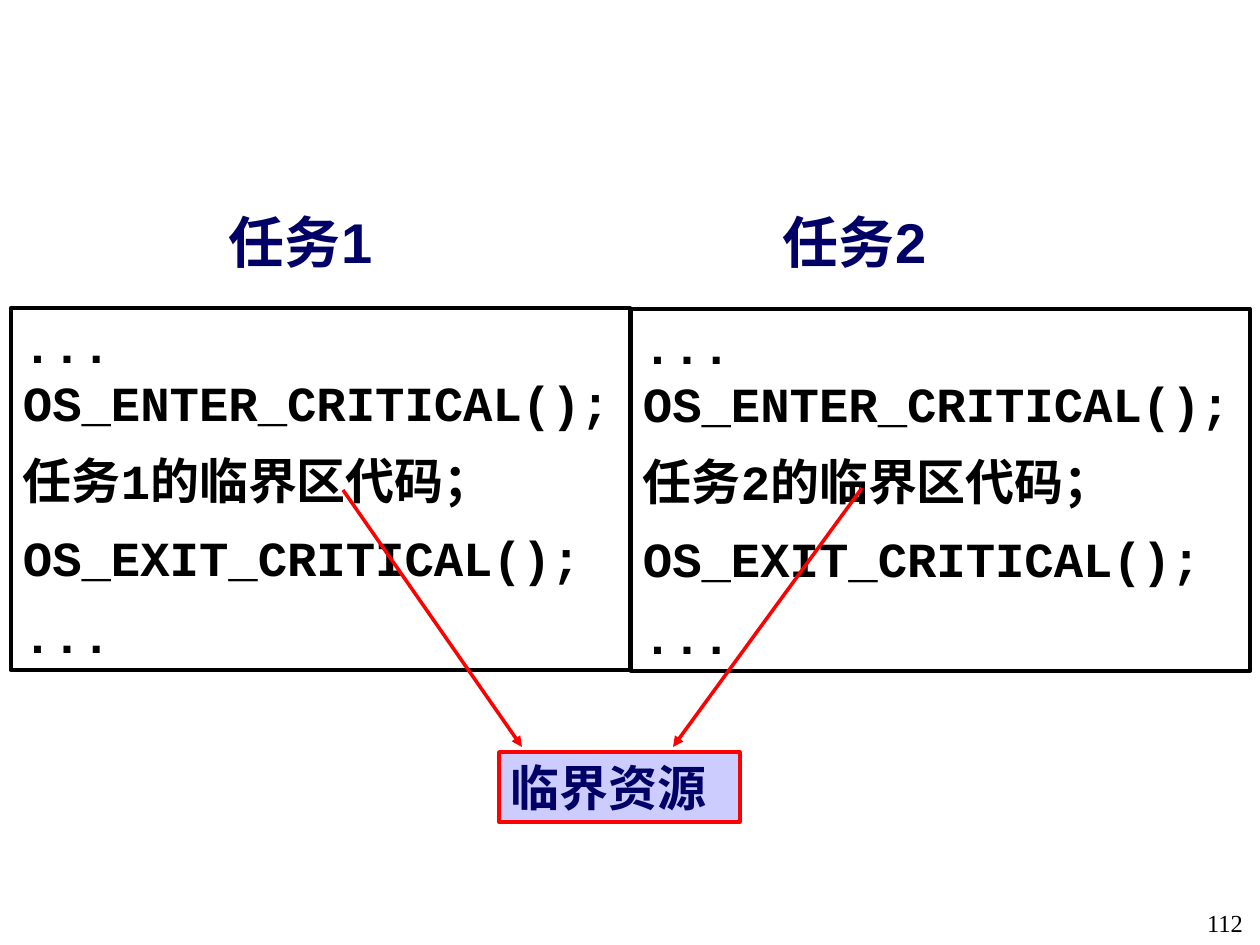
"""Build a slide showing two tasks that share one critical resource."""
from lxml.etree import SubElement
from pptx import Presentation
from pptx.dml.color import RGBColor
from pptx.enum.shapes import MSO_CONNECTOR, MSO_SHAPE
from pptx.enum.text import MSO_ANCHOR, PP_ALIGN
from pptx.oxml.ns import qn
from pptx.util import Pt

PX = 914400 / 126
COLORS = {"ink": "000000", "navy": "000066", "red": "FF0000", "lilac": "CCCCFF"}
TASKS = [
    {"name": "任务1", "heading": (217, 202, 205, 78), "code": (11, 308, 619, 362),
     "arrow": (343, 490, 522, 747)},
    {"name": "任务2", "heading": (771, 202, 278, 78), "code": (631, 309, 619, 362),
     "arrow": (862, 488, 673, 747)},
]
CODE_LINES = ["...\vOS_ENTER_CRITICAL();", "{}的临界区代码；", "OS_EXIT_CRITICAL();", "..."]
RESOURCE = ("临界资源", (499, 752, 241, 70))
PAGE_NUMBER = ("112", (1159, 902, 96, 43))


def px(*lengths):
    return [round(length * PX) for length in lengths]


def rgb(name):
    return RGBColor.from_string(COLORS[name])


def write(shape, lines, font, size, color, bold=True, align=PP_ALIGN.LEFT, gap=0):
    frame = shape.text_frame
    frame.word_wrap = True
    frame.vertical_anchor = MSO_ANCHOR.TOP
    frame.margin_left = frame.margin_right = px(12)[0]
    frame.margin_top = frame.margin_bottom = px(6)[0]
    frame.text = "\n".join(lines)
    for index, paragraph in enumerate(frame.paragraphs):
        paragraph.alignment = align
        paragraph.space_before = Pt(gap if index else 0)
        for run in paragraph.runs:
            run.font.name = font
            run.font.size = Pt(size)
            run.font.bold = bold
            run.font.color.rgb = rgb(color)


def add_text(slide, box, *args, **options):
    write(slide.shapes.add_textbox(*px(*box)), *args, **options)


def add_box(slide, box, line, width, fill=None):
    shape = slide.shapes.add_shape(MSO_SHAPE.RECTANGLE, *px(*box))
    shape.shadow.inherit = False
    if fill:
        shape.fill.solid()
        shape.fill.fore_color.rgb = rgb(fill)
    else:
        shape.fill.background()
    shape.line.color.rgb = rgb(line)
    shape.line.width = Pt(width)
    return shape


def add_arrow(slide, points):
    arrow = slide.shapes.add_connector(MSO_CONNECTOR.STRAIGHT, *px(*points))
    arrow.line.color.rgb = rgb("red")
    arrow.line.width = Pt(2)
    SubElement(arrow.line._get_or_add_ln(), qn("a:tailEnd"), type="triangle")
    SubElement(arrow._element.spPr, qn("a:effectLst"))


def main():
    presentation = Presentation()
    presentation.slide_width, presentation.slide_height = px(1260, 945)
    slide = presentation.slides.add_slide(presentation.slide_layouts[6])
    for task in TASKS:
        add_text(slide, task["heading"], [task["name"]], "Arial", 32, "navy")
        code = [line.format(task["name"]) for line in CODE_LINES]
        write(add_box(slide, task["code"], "ink", 2.5), code, "Courier New", 28, "ink", gap=10.5)
    label, box = RESOURCE
    write(add_box(slide, box, "red", 2, "lilac"), [label], "Arial", 28, "navy")
    for task in TASKS:
        add_arrow(slide, task["arrow"])
    number, box = PAGE_NUMBER
    add_text(slide, box, [number], "Times New Roman", 14, "ink", bold=False, align=PP_ALIGN.RIGHT)
    presentation.save("out.pptx")


if __name__ == "__main__":
    main()
